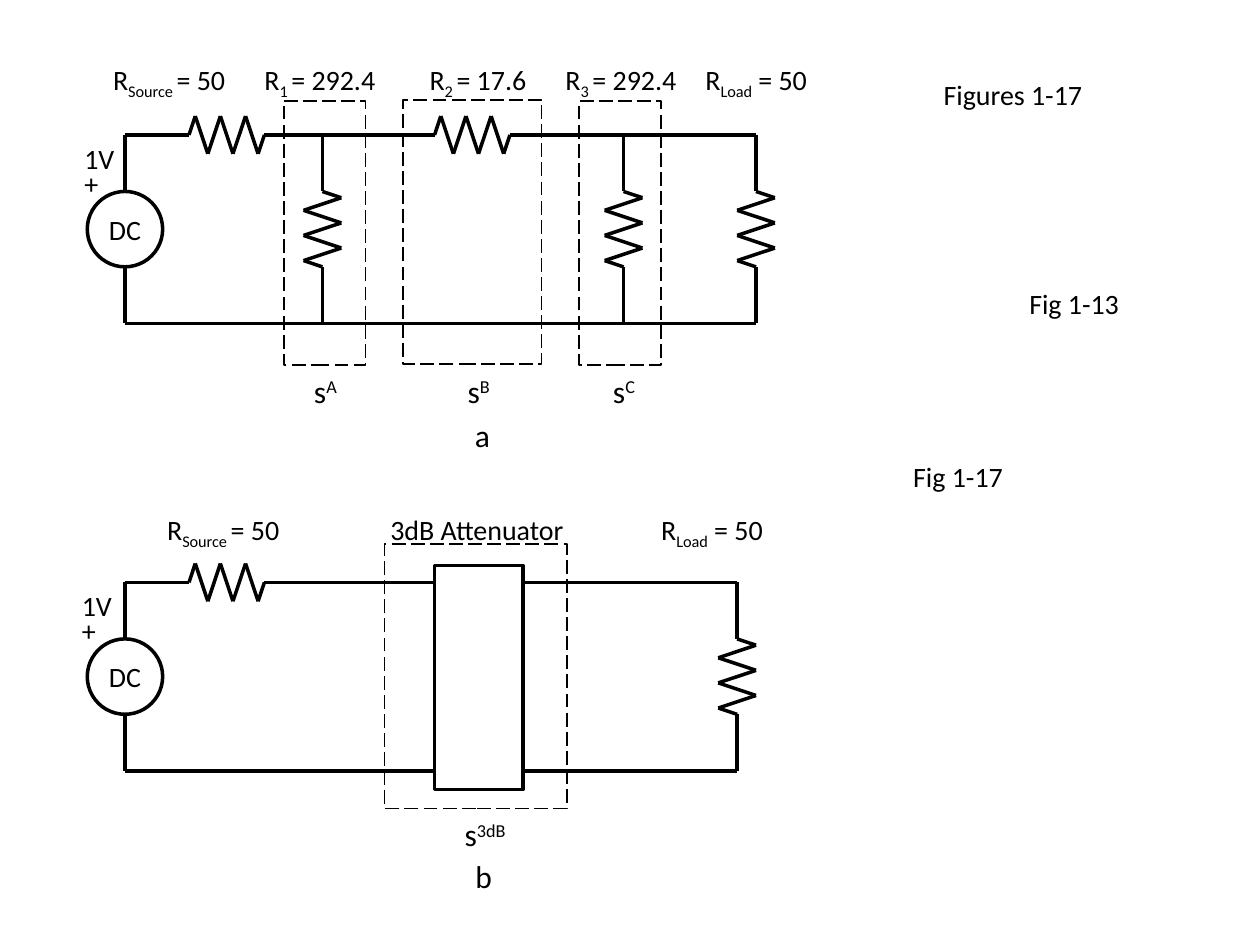
from lxml import etree
from pptx import Presentation
from pptx.dml.color import RGBColor
from pptx.enum.dml import MSO_LINE
from pptx.enum.shapes import MSO_CONNECTOR, MSO_SHAPE
from pptx.enum.text import MSO_ANCHOR, MSO_AUTO_SIZE, PP_ALIGN
from pptx.oxml.ns import qn
from pptx.util import Cm, Pt

BLACK = RGBColor(0, 0, 0)
WHITE = RGBColor(255, 255, 255)
STRAIGHT = MSO_CONNECTOR.STRAIGHT
RECT, OVAL = MSO_SHAPE.RECTANGLE, MSO_SHAPE.OVAL
LEFT, CENTER = PP_ALIGN.LEFT, PP_ALIGN.CENTER
MIDDLE = MSO_ANCHOR.MIDDLE
FIT_SHAPE = MSO_AUTO_SIZE.SHAPE_TO_FIT_TEXT
LONG_DASH = MSO_LINE.LONG_DASH

SOURCE_X = 2.52
SOURCE_R = 0.76
RESISTOR = 1.52
SWING = 0.38
LEAD = 1.14
HEIGHT = 2 * LEAD + RESISTOR


def write(tf, text, sub="", sup="", tail="", size=16, align=LEFT):
    p = tf.paragraphs[0]
    p.alignment = align
    for part, baseline in ((text, 0), (sub, -25000), (sup, 30000), (tail, 0)):
        if not part:
            continue
        r = p.add_run()
        r.text = part
        r.font.name = "Calibri"
        r.font.size = Pt(size)
        r.font.color.rgb = BLACK
        if baseline:
            r._r.get_or_add_rPr().set("baseline", str(baseline))


class Circuit:
    def __init__(self, slide):
        self.slide = slide
        self.shapes = slide.shapes

    def title(self, text, x, y, w, h):
        sp = self.shapes.title
        sp.left, sp.top, sp.width, sp.height = Cm(x), Cm(y), Cm(w), Cm(h)
        sp.text_frame.vertical_anchor = MIDDLE
        write(sp.text_frame, text, align=CENTER)

    def label(self, text, x, y, w, h=0.94, **fmt):
        sp = self.shapes.add_textbox(Cm(x), Cm(y), Cm(w), Cm(h))
        sp.text_frame.word_wrap = False
        sp.text_frame.auto_size = FIT_SHAPE
        write(sp.text_frame, text, **fmt)

    def caption(self, text, x, y, w, sup=""):
        self.label(text, x, y, w, h=1.02, sup=sup, size=18, align=CENTER)

    def wire(self, x1, y1, x2, y2, shapes=None):
        target = self.shapes if shapes is None else shapes
        cxn = target.add_connector(STRAIGHT, Cm(x1), Cm(y1), Cm(x2), Cm(y2))
        cxn.line.color.rgb = BLACK
        cxn.line.width = Pt(2)
        etree.SubElement(cxn._element.spPr, qn("a:effectLst"))

    def resistor(self, x, y, vertical=False):
        step = RESISTOR / 6
        along = [0] + [step * (i + 0.5) for i in range(6)] + [RESISTOR]
        across = [0] + [SWING, -SWING] * 3 + [0]
        if vertical:
            points = [(x + b, y + a) for a, b in zip(along, across)]
        else:
            points = [(x + a, y - b) for a, b in zip(along, across)]
        group = self.shapes.add_group_shape()
        for start, end in zip(points, points[1:]):
            self.wire(*start, *end, shapes=group.shapes)

    def branch(self, x, top):
        self.wire(x, top, x, top + LEAD)
        self.resistor(x, top + LEAD, vertical=True)
        self.wire(x, top + HEIGHT - LEAD, x, top + HEIGHT)

    def box(self, kind, x, y, w, h, width=2, dashed=False, fill=None):
        sp = self.shapes.add_shape(kind, Cm(x), Cm(y), Cm(w), Cm(h))
        sp.shadow.inherit = False
        if fill is None:
            sp.fill.background()
        else:
            sp.fill.solid()
            sp.fill.fore_color.rgb = fill
        sp.line.color.rgb = BLACK
        sp.line.width = Pt(width)
        if dashed:
            sp.line.dash_style = LONG_DASH
        return sp

    def network(self, x, y, w):
        self.box(RECT, x, y, w, 5.33, width=1, dashed=True)

    def source(self, top, label_x):
        sp = self.box(OVAL, SOURCE_X - SOURCE_R, top + LEAD, 2 * SOURCE_R, 2 * SOURCE_R)
        tf = sp.text_frame
        tf.margin_left = tf.margin_right = tf.margin_top = tf.margin_bottom = 0
        tf.vertical_anchor = MIDDLE
        write(tf, "DC", align=CENTER)
        self.wire(SOURCE_X, top, SOURCE_X, top + LEAD)
        self.wire(SOURCE_X, top + HEIGHT - LEAD, SOURCE_X, top + HEIGHT)
        self.label("1V", label_x, top, 1.12)
        self.label("+", label_x, top + 0.51, 0.79)

    def loop(self, top, load_x, gap, label_x):
        self.source(top, label_x)
        self.wire(SOURCE_X, top, 3.81, top)
        self.resistor(3.81, top)
        self.wire(3.81 + RESISTOR, top, gap[0], top)
        self.wire(gap[1], top, load_x, top)
        self.wire(SOURCE_X, top + HEIGHT, load_x, top + HEIGHT)
        self.branch(load_x, top)


def main():
    prs = Presentation()
    prs.slide_width, prs.slide_height = Cm(25.4), Cm(19.05)
    c = Circuit(prs.slides.add_slide(prs.slide_layouts[5]))
    c.title("Figures 1-17", 16.71, 0.76, 7.42, 2.29)
    c.label("Fig 1-13", 20.5, 5.66, 2.34)
    c.label("Fig 1-17", 18.16, 9.14, 2.34)

    top_a, top_b = 2.72, 11.74
    c.loop(top_a, 15.24, (8.76, 8.76 + RESISTOR), 1.45)
    c.resistor(8.76, top_a)
    for x in (6.5, 12.57):
        c.branch(x, top_a)
    for x, y, w in ((5.72, 2.03, 1.65), (8.13, 2.01, 2.79), (11.68, 2.03, 1.65)):
        c.network(x, y, w)
    for name, x, w, value in (
        ("Source ", 2.03, 2.92, "= 50"),
        ("1 ", 5.08, 2.82, "= 292.4"),
        ("2 ", 8.41, 2.51, "= 17.6"),
        ("3 ", 11.15, 2.82, "= 292.4"),
        ("Load", 13.97, 2.92, " = 50"),
    ):
        c.label("R", x, 1.14, w, sub=name, tail=value)
    for name, x in (("A", 6.05), ("B", 9.14), ("C", 12.07)):
        c.caption("s", x, 7.37, 1.02, sup=name)
    c.caption("a", 9.32, 8.26, 0.81)

    c.network(7.75, 10.97, 3.68)
    c.loop(top_b, 14.86, (9.14, 10.16), 1.4)
    c.box(RECT, 8.76, 11.4, 1.78, 4.52, fill=WHITE)
    c.label("R", 3.12, 10.21, 2.92, sub="Source ", tail="= 50")
    c.label("3dB Attenuator", 7.62, 10.21, 4.06)
    c.label("R", 13.08, 10.21, 2.92, sub="Load", tail=" = 50")
    c.caption("s", 9.07, 16.31, 1.42, sup="3dB")
    c.caption("b", 9.32, 17.15, 0.86)
    prs.save("out.pptx")


if __name__ == "__main__":
    main()
